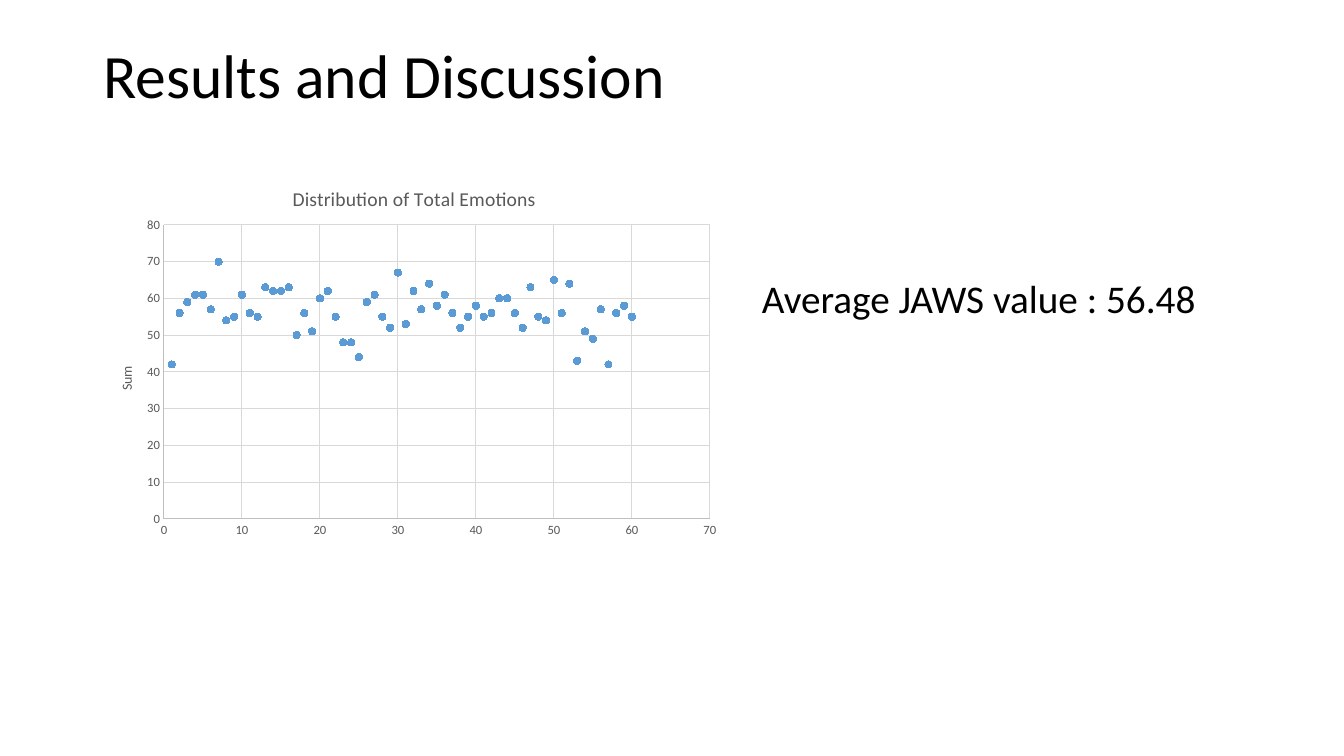
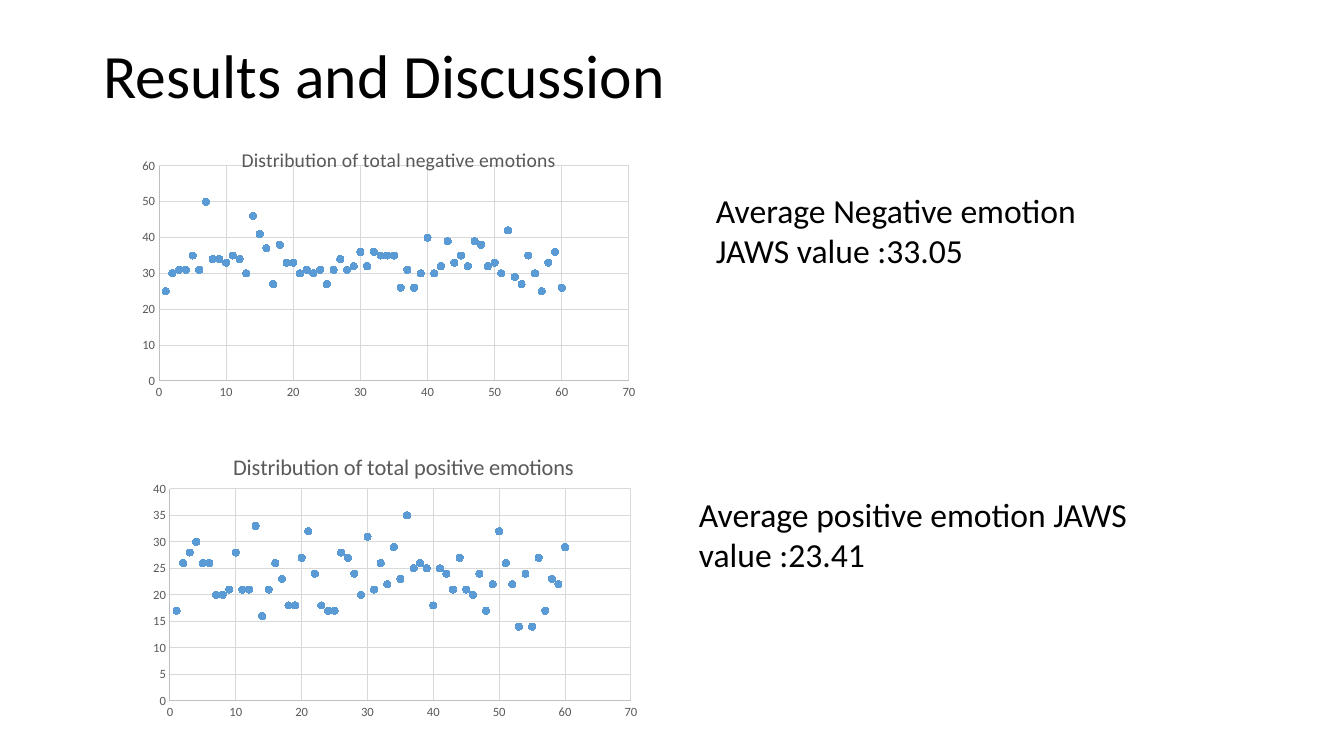
from dataclasses import dataclass
from typing import Optional

from lxml import etree
from pptx import Presentation
from pptx import util as u
from pptx.chart.data import XyChartData
from pptx.dml.color import RGBColor
from pptx.enum import chart as charts, text
from pptx.oxml import ns

PIXELS_PER_INCH = 100.8


@dataclass(frozen=True)
class Theme:
    font: str = "Calibri"
    ink: RGBColor = RGBColor(0, 0, 0)
    paper: RGBColor = RGBColor(255, 255, 255)
    label: RGBColor = RGBColor(0x59, 0x59, 0x59)
    axis: RGBColor = RGBColor(0xBF, 0xBF, 0xBF)
    grid: RGBColor = RGBColor(0xD9, 0xD9, 0xD9)
    dot: RGBColor = RGBColor(0x5B, 0x9B, 0xD5)
    title_size: int = 44
    axis_title_size: int = 10
    tick_size: int = 9
    hairline: float = 0.75
    marker_size: int = 5


THEME = Theme()


@dataclass(frozen=True)
class Frame:
    left: int
    top: int
    width: int = 0
    height: int = 0


@dataclass(frozen=True)
class Note:
    words: str
    frame: Frame
    size: int


@dataclass(frozen=True)
class Scatter:
    title: str
    frame: Frame
    plot: Frame
    title_at: Frame
    top_value: int
    step: int
    scores: list[int]
    title_size: int = 14
    axis_title: Optional[str] = None
    axis_title_at: Optional[Frame] = None


@dataclass(frozen=True)
class Content:
    scatters: list[Scatter]
    notes: list[Note]


# Shared helpers
def emu(pixels: int) -> u.Emu:
    return u.Emu(round(pixels * 914400 / PIXELS_PER_INCH))


def bounds(frame: Frame) -> tuple:
    return emu(frame.left), emu(frame.top), emu(frame.width), emu(frame.height)


def style_font(font, size: int, color: RGBColor) -> None:
    font.name = THEME.font
    font.size = u.Pt(size)
    font.bold = False
    font.color.rgb = color


def style_line(line, color: RGBColor) -> None:
    line.color.rgb = color
    line.width = u.Pt(THEME.hairline)


def place_in_chart(parent, chart_frame: Frame, frame: Frame) -> None:
    """Give a chart part a manual layout in fractions of the chart."""
    for old in parent.findall(ns.qn("c:layout")):
        parent.remove(old)
    layout = etree.Element(ns.qn("c:layout"))
    manual = etree.SubElement(layout, ns.qn("c:manualLayout"))
    settings = {"xMode": "edge", "yMode": "edge"}
    if frame.width:
        settings = {"layoutTarget": "inner", **settings}
    settings["x"] = (frame.left - chart_frame.left) / chart_frame.width
    settings["y"] = (frame.top - chart_frame.top) / chart_frame.height
    if frame.width:
        settings["w"] = frame.width / chart_frame.width
        settings["h"] = frame.height / chart_frame.height
    for name, value in settings.items():
        etree.SubElement(manual, ns.qn(f"c:{name}")).set("val", str(value))
    has_text = parent.find(ns.qn("c:tx")) is not None
    parent.insert(1 if has_text else 0, layout)


def write_chart_title(title, words: str, size: int) -> None:
    para = title.text_frame.paragraphs[0]
    para.text = words
    style_font(para.runs[0].font, size, THEME.label)


# Slide parts
def add_title(page, words: str) -> None:
    box = page.shapes.title
    box.left, box.top, box.width, box.height = bounds(Frame(93, 40, 1159, 146))
    frame = box.text_frame
    frame.text = words
    frame.word_wrap = True
    frame.auto_size = text.MSO_AUTO_SIZE.NONE
    frame.vertical_anchor = text.MSO_ANCHOR.TOP
    para = frame.paragraphs[0]
    para.alignment = text.PP_ALIGN.LEFT
    para.line_spacing = 0.9
    style_font(para.runs[0].font, THEME.title_size, THEME.ink)


def add_note(page, note: Note) -> None:
    frame = page.shapes.add_textbox(*bounds(note.frame)).text_frame
    frame.text = note.words
    frame.word_wrap = True
    frame.auto_size = text.MSO_AUTO_SIZE.SHAPE_TO_FIT_TEXT
    style_font(frame.paragraphs[0].runs[0].font, note.size, THEME.ink)


def style_axis(axis, maximum: int, step: int) -> None:
    axis.minimum_scale, axis.maximum_scale = 0, maximum
    axis.major_unit = step
    axis.major_tick_mark = axis.minor_tick_mark = charts.XL_TICK_MARK.NONE
    axis.has_major_gridlines = True
    style_line(axis.major_gridlines.format.line, THEME.grid)
    style_line(axis.format.line, THEME.axis)
    style_font(axis.tick_labels.font, THEME.tick_size, THEME.label)


def add_scatter(page, scatter: Scatter) -> None:
    data = XyChartData()
    points = data.add_series("Series 1")
    for person, score in enumerate(scatter.scores, start=1):
        points.add_data_point(person, score)
    chart = page.shapes.add_chart(
        charts.XL_CHART_TYPE.XY_SCATTER, *bounds(scatter.frame), data).chart
    style_font(chart.font, THEME.axis_title_size, THEME.ink)
    chart.has_legend = False

    # Markers without joining lines
    plot = chart.plots[0]
    plot.vary_by_categories = False
    series = plot.series[0]
    series.format.line.fill.background()
    series.marker.style = charts.XL_MARKER_STYLE.CIRCLE
    series.marker.size = THEME.marker_size
    series.marker.format.fill.solid()
    series.marker.format.fill.fore_color.rgb = THEME.dot
    style_line(series.marker.format.line, THEME.dot)

    # Axes, titles and plot area
    style_axis(chart.category_axis, 70, 10)
    style_axis(chart.value_axis, scatter.top_value, scatter.step)
    chart.has_title = True
    write_chart_title(chart.chart_title, scatter.title, scatter.title_size)
    chart.chart_title.include_in_layout = False
    place_in_chart(chart.chart_title.element, scatter.frame, scatter.title_at)
    if scatter.axis_title and scatter.axis_title_at:
        title = chart.value_axis.axis_title
        write_chart_title(title, scatter.axis_title, THEME.axis_title_size)
        body = title.element.find(".//" + ns.qn("a:bodyPr"))
        body.set("rot", "-5400000")
        body.set("vert", "horz")
        place_in_chart(title.element, scatter.frame, scatter.axis_title_at)
    plot_area = chart.element.find(".//" + ns.qn("c:plotArea"))
    place_in_chart(plot_area, scatter.frame, scatter.plot)


# Content
TOTAL = Scatter(
    "Distribution of Total Emotions", Frame(93, 163, 636, 382),
    Frame(164, 225, 546, 294), Frame(289, 182), 80, 10,
    [42, 56, 59, 61, 61, 57, 70, 54, 55, 61, 56, 55, 63, 62, 62,
     63, 50, 56, 51, 60, 62, 55, 48, 48, 44, 59, 61, 55, 52, 67,
     53, 62, 57, 64, 58, 61, 56, 52, 55, 58, 55, 56, 60, 60, 56,
     52, 63, 55, 54, 65, 56, 64, 43, 51, 49, 57, 42, 56, 58, 55],
    axis_title="Sum", axis_title_at=Frame(115, 364))
NEGATIVE = Scatter(
    "Distribution of total negative emotions", Frame(131, 125, 528, 298),
    Frame(159, 166, 470, 215), Frame(238, 143), 60, 10,
    [25, 30, 31, 31, 35, 31, 50, 34, 34, 33, 35, 34, 30, 46, 41,
     37, 27, 38, 33, 33, 30, 31, 30, 31, 27, 31, 34, 31, 32, 36,
     32, 36, 35, 35, 35, 26, 31, 26, 30, 40, 30, 32, 39, 33, 35,
     32, 39, 38, 32, 33, 30, 42, 29, 27, 35, 30, 25, 33, 36, 26])
POSITIVE = Scatter(
    "Distribution of total positive emotions", Frame(143, 423, 504, 302),
    Frame(170, 489, 461, 212), Frame(229, 448), 40, 5,
    [17, 26, 28, 30, 26, 26, 20, 20, 21, 28, 21, 21, 33, 16, 21,
     26, 23, 18, 18, 27, 32, 24, 18, 17, 17, 28, 27, 24, 20, 31,
     21, 26, 22, 29, 23, 35, 25, 26, 25, 18, 25, 24, 21, 27, 21,
     20, 24, 17, 22, 32, 26, 22, 14, 24, 14, 27, 17, 23, 22, 29],
    title_size=16)
PAGES = [
    Content([TOTAL], [
        Note("Average JAWS value : 56.48", Frame(752, 269, 477, 57), 28)]),
    Content([NEGATIVE, POSITIVE], [
        Note("Average Negative emotion JAWS value :33.05",
             Frame(706, 185, 453, 92), 24),
        Note("Average positive emotion JAWS value :23.41",
             Frame(689, 489, 453, 92), 24)]),
]


def main() -> None:
    deck = Presentation()
    deck.slide_width, deck.slide_height = emu(1344), emu(756)
    background = deck.slide_master.background.fill
    background.solid()
    background.fore_color.rgb = THEME.paper
    title_only = deck.slide_layouts.get_by_name("Title Only")
    for content in PAGES:
        page = deck.slides.add_slide(title_only)
        add_title(page, "Results and Discussion")
        for scatter in content.scatters:
            add_scatter(page, scatter)
        for note in content.notes:
            add_note(page, note)
    deck.save("out.pptx")


main()
